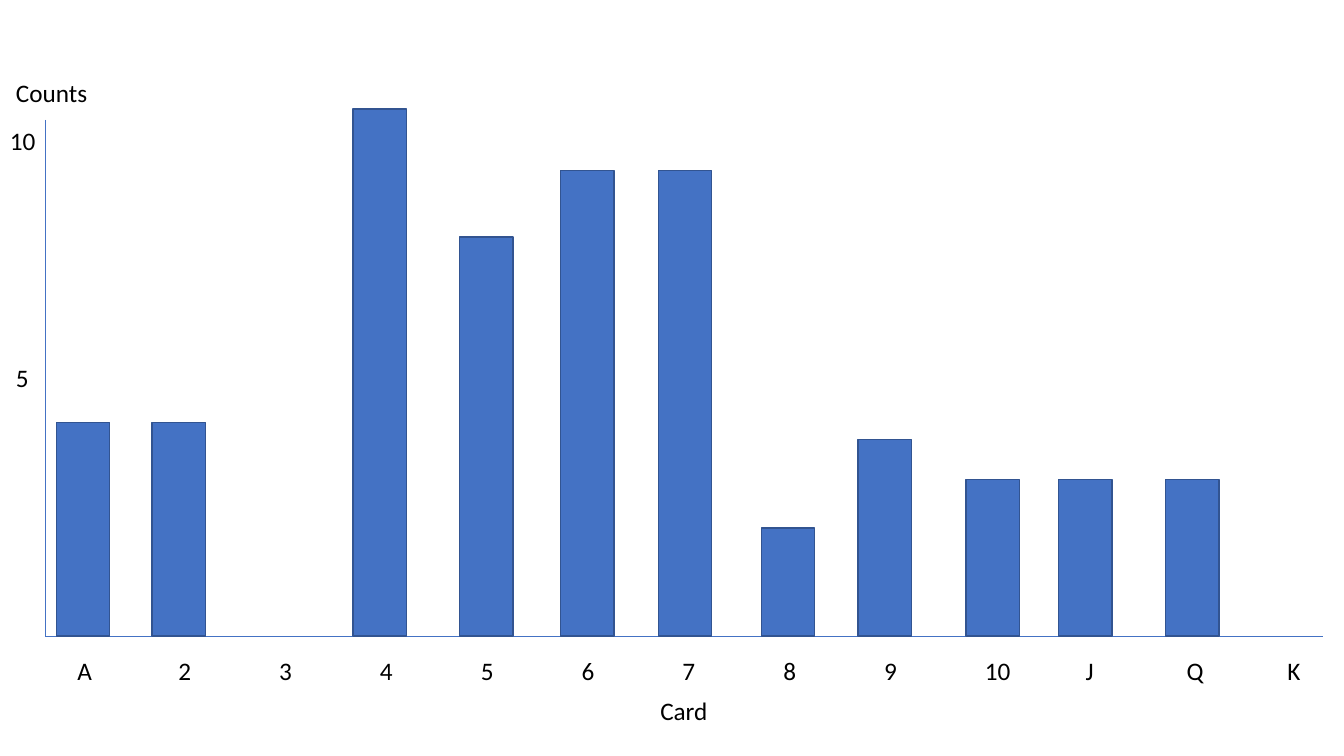
from lxml import etree
from pptx import Presentation
from pptx import util as u
from pptx.dml.color import RGBColor
from pptx.enum import shapes, text
from pptx.oxml.ns import qn

COLORS = {"bar": "4472C4", "edge": "325491", "axis": "4472C4", "text": "000000"}
FONT = {"name": "Calibri", "size": u.Pt(18)}
FRAME = {"word_wrap": False, "auto_size": text.MSO_AUTO_SIZE.SHAPE_TO_FIT_TEXT}
CARDS = ["A", "2", "3", "4", "5", "6", "7", "8", "9", "10", "J", "Q", "K"]
BAR_WIDTH = 0.53
BARS = {
    "A": (0.11, 2.12), "2": (1.06, 2.12), "4": (3.05, 5.23), "5": (4.11, 3.96),
    "6": (5.11, 4.62), "7": (6.08, 4.62), "8": (7.1, 1.07), "9": (8.06, 1.95),
    "10": (9.13, 1.55), "J": (10.05, 1.55), "Q": (11.11, 1.55),
}


def set_all(target, values):
    for name, value in values.items():
        setattr(target, name, value)


def color(name):
    return RGBColor.from_string(COLORS[name])


def add_label(s, x, y, w, words):
    tf = s.shapes.add_textbox(*map(u.Inches, (x, y, w, 0.4))).text_frame
    set_all(tf, FRAME)
    p = tf.paragraphs[0]
    r = p.add_run()
    r.text = words
    set_all(r.font, FONT)
    r.font.color.rgb = color("text")
    return p


def add_axis(s, x1, y1, x2, y2):
    line = s.shapes.add_connector(
        shapes.MSO_CONNECTOR.STRAIGHT, *map(u.Inches, (x1, y1, x2, y2)))
    line.line.color.rgb = color("axis")
    line.line.width = u.Pt(0.5)
    etree.SubElement(line._element.spPr, qn("a:effectLst"))


def add_axes(s, x, y, w, h):
    base = y + h
    add_axis(s, x, y, x, base)
    add_axis(s, x + w, base, x, base)
    add_label(s, x - 0.39, y - 0.47, 0.92, "Counts")
    add_label(s, x - 0.45, y, 0.46, "10")
    add_label(s, x - 0.39, y + 2.36, 0.33, "5")
    p = add_label(s, x + 0.22, base + 0.14, 12.45, "\t".join(CARDS))
    stops = etree.SubElement(p._p.get_or_add_pPr(), qn("a:tabLst"))
    for i in range(1, len(CARDS)):
        etree.SubElement(stops, qn("a:tab"), pos=str(u.Inches(i)), algn="l")
    add_label(s, x + 6, base + 0.54, 0.68, "Card")


def add_bars(s, x, y, w, h):
    for offset, height in BARS.values():
        sp = s.shapes.add_shape(
            shapes.MSO_SHAPE.RECTANGLE,
            *map(u.Inches, (x + offset, y + h - height, BAR_WIDTH, height)))
        sp.shadow.inherit = False
        sp.fill.solid()
        sp.fill.fore_color.rgb = color("bar")
        sp.line.color.rgb = color("edge")
        sp.line.width = u.Pt(1)


prs = Presentation()
set_all(prs, {"slide_width": u.Inches(13.33), "slide_height": u.Inches(7.5)})
s = prs.slides.add_slide(prs.slide_layouts[6])
plot = (0.45, 1.19, 12.67, 5.12)
add_axes(s, *plot)
add_bars(s, *plot)
prs.save("out.pptx")
